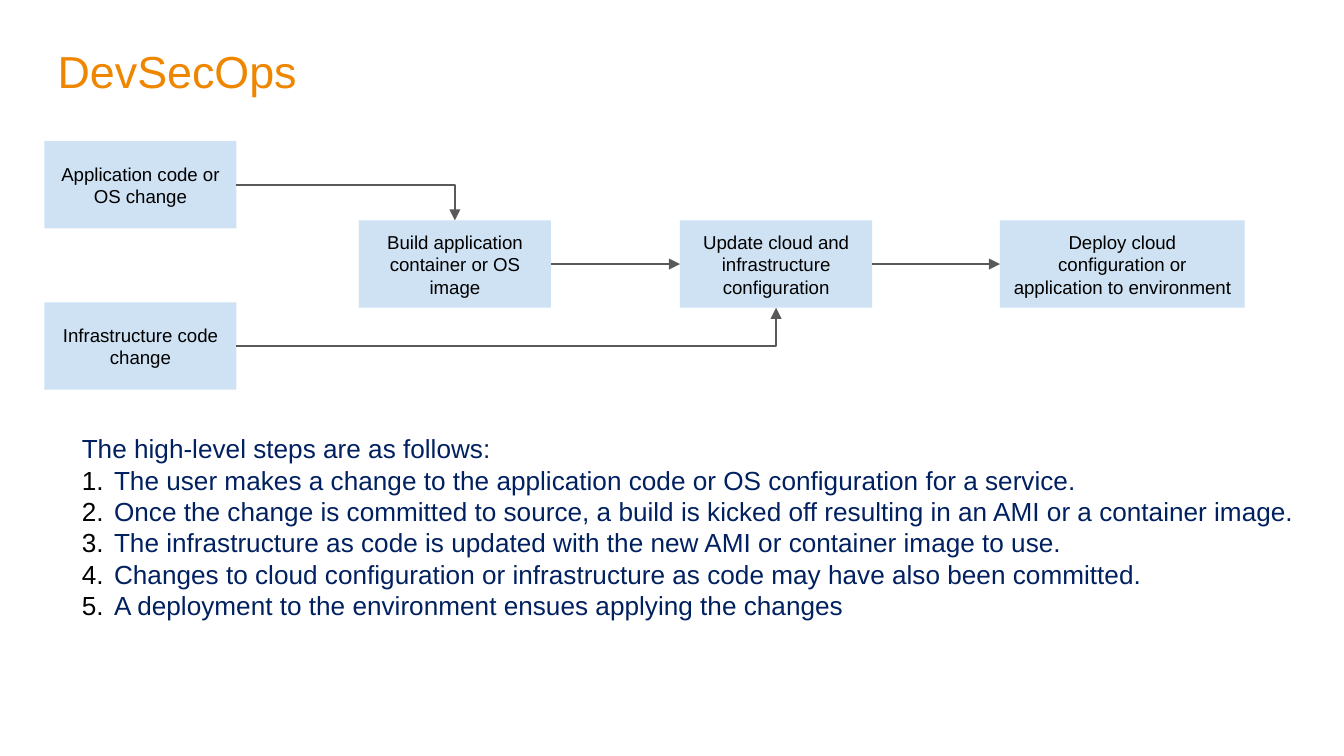
from dataclasses import dataclass

from lxml.etree import SubElement
from pptx import Presentation
from pptx.dml.color import RGBColor
from pptx.enum.shapes import MSO_CONNECTOR as Link, MSO_SHAPE as Shape
from pptx.enum.text import MSO_ANCHOR as Anchor, MSO_AUTO_SIZE as AutoSize, PP_ALIGN as Align
from pptx.oxml.ns import qn
from pptx.util import Inches, Pt

TOP, LEFT, BOTTOM, RIGHT = range(4)
STEP_WIDTH, STEP_HEIGHT = 1.43, 0.65


@dataclass(frozen=True)
class Theme:
    """Colours, font and type sizes of the slide."""
    font: str = "Arial"
    title: str = "EF8600"
    body: str = "002060"
    ink: str = "000000"
    fill: str = "CFE2F3"
    line: str = "595959"
    title_size: int = 24
    body_size: int = 14
    step_size: int = 10
    line_width: float = 0.75


THEME = Theme()


def add_span(para, text, size, color):
    """Add one formatted run to a paragraph."""
    span = para.add_run()
    span.text = text
    span.font.name = THEME.font
    span.font.size = Pt(size)
    span.font.color.rgb = RGBColor.from_string(color)


def add_step(page, text, left, top, width=STEP_WIDTH):
    """Add a filled step box with centred text."""
    step = page.shapes.add_shape(
        Shape.RECTANGLE, Inches(left), Inches(top), Inches(width), Inches(STEP_HEIGHT))
    step.shadow.inherit = False
    step.fill.solid()
    step.fill.fore_color.rgb = RGBColor.from_string(THEME.fill)
    step.line.fill.background()
    frame = step.text_frame
    frame.word_wrap = True
    frame.vertical_anchor = Anchor.MIDDLE
    frame.margin_left = frame.margin_right = Inches(0.1)
    frame.margin_top = frame.margin_bottom = Inches(0.1)
    para = frame.paragraphs[0]
    para.alignment = Align.CENTER
    add_span(para, text, THEME.step_size, THEME.ink)
    return step


def add_arrow(page, source, target, side=LEFT):
    """Link the right of one step to a side of another."""
    arrow = page.shapes.add_connector(Link.ELBOW, 0, 0, 0, 0)
    arrow.begin_connect(source, RIGHT)
    arrow.end_connect(target, side)
    arrow.line.color.rgb = RGBColor.from_string(THEME.line)
    arrow.line.width = Pt(THEME.line_width)
    properties = arrow._element.spPr
    if side != LEFT:
        properties.find(qn("a:prstGeom")).set("prst", "bentConnector2")
    SubElement(properties.find(qn("a:ln")), qn("a:tailEnd"), type="triangle")
    SubElement(properties, qn("a:effectLst"))


def add_text_box(page, left, top, width, height, wrap=True):
    """Add a text box that grows with its text and return its frame."""
    box = page.shapes.add_textbox(Inches(left), Inches(top), Inches(width), Inches(height))
    box.text_frame.word_wrap = wrap
    box.text_frame.auto_size = AutoSize.SHAPE_TO_FIT_TEXT
    return box.text_frame


def number_para(para):
    """Give a paragraph an automatic number and a hanging indent."""
    indent = Inches(0.24)
    properties = para._p.get_or_add_pPr()
    properties.set("marL", str(indent))
    properties.set("indent", str(-indent))
    color = SubElement(properties, qn("a:buClr"))
    SubElement(color, qn("a:srgbClr"), val=THEME.ink)
    SubElement(properties, qn("a:buFont"), typeface=THEME.font)
    SubElement(properties, qn("a:buAutoNum"), type="arabicPeriod")


def add_numbered_list(page, intro, items):
    """Add an opening line followed by numbered items."""
    frame = add_text_box(page, 0.51, 3.17, 9.28, 1.51)
    add_span(frame.paragraphs[0], intro, THEME.body_size, THEME.body)
    for item in items:
        para = frame.add_paragraph()
        number_para(para)
        add_span(para, item, THEME.body_size, THEME.body)


def add_flow(page):
    """Add the pipeline steps and the arrows between them."""
    build = add_step(page, "Build application container or OS image", 2.67, 1.64)
    deploy = add_step(
        page, "Deploy cloud configuration or application to environment", 7.44, 1.64, 1.82)
    update = add_step(page, "Update cloud and infrastructure configuration", 5.06, 1.64)
    application = add_step(page, "Application code or OS change", 0.33, 1.05)
    infrastructure = add_step(page, "Infrastructure code change", 0.33, 2.25)
    add_arrow(page, application, build, TOP)
    add_arrow(page, infrastructure, update, BOTTOM)
    add_arrow(page, build, update)
    add_arrow(page, update, deploy)


def main():
    """Build and save the deck."""
    deck = Presentation()
    deck.slide_width = Inches(10)
    deck.slide_height = Inches(10 * 9 / 16)
    page = deck.slides.add_slide(deck.slide_layouts[6])
    add_flow(page)
    add_numbered_list(page, "The high-level steps are as follows:", [
        "The user makes a change to the application code or OS configuration for a service.",
        "Once the change is committed to source, a build is kicked off resulting in an AMI "
        "or a container image.",
        "The infrastructure as code is updated with the new AMI or container image to use.",
        "Changes to cloud configuration or infrastructure as code may have also been committed.",
        "A deployment to the environment ensues applying the changes",
    ])
    title = add_text_box(page, 0.33, 0.28, 2.09, 0.5, wrap=False)
    add_span(title.paragraphs[0], "DevSecOps", THEME.title_size, THEME.title)
    deck.save("out.pptx")


if __name__ == "__main__":
    main()
